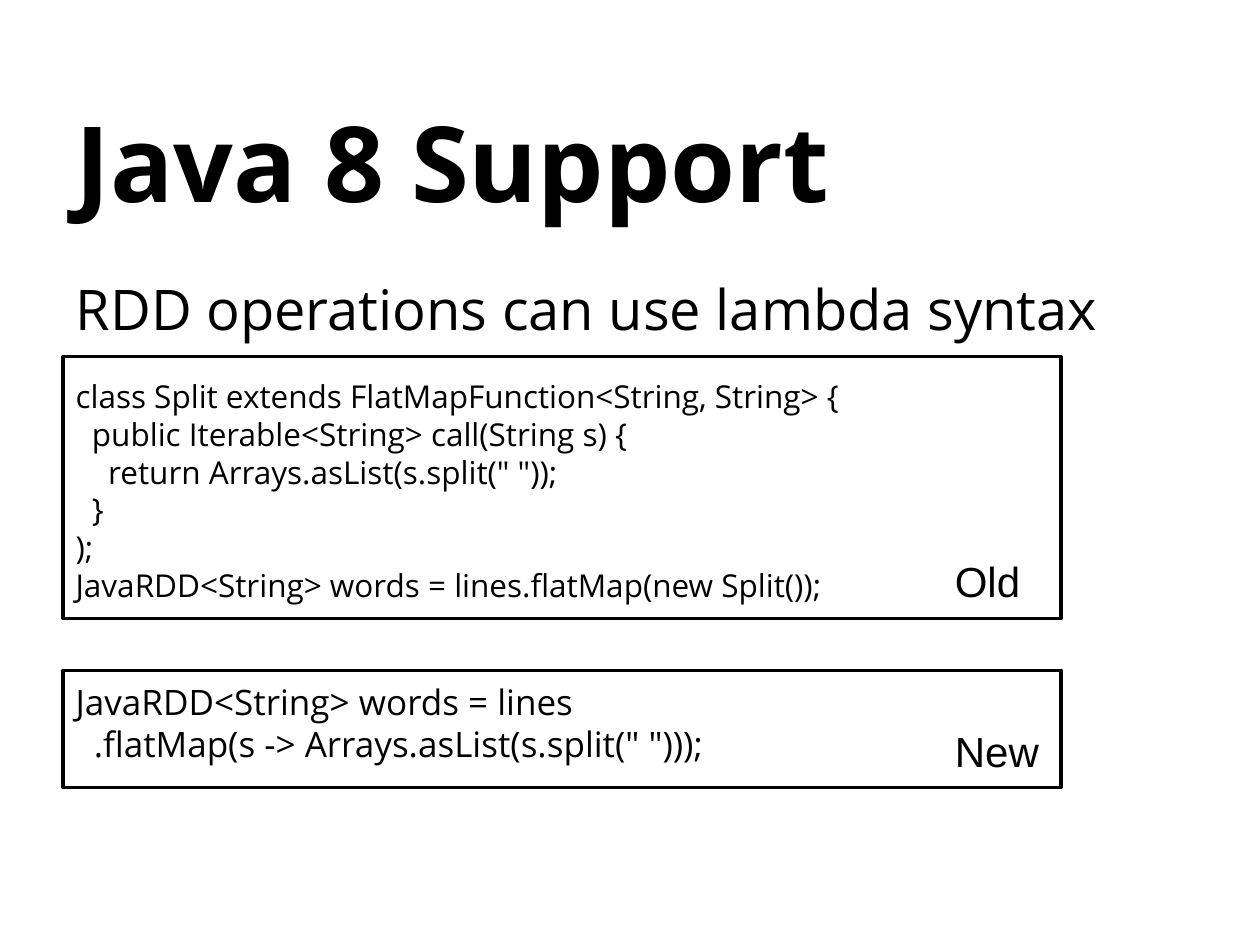
from dataclasses import dataclass

from lxml import etree
from pptx import Presentation
from pptx.dml.color import RGBColor
from pptx.enum.shapes import MSO_SHAPE
from pptx.enum.text import MSO_ANCHOR, MSO_AUTO_SIZE, PP_ALIGN
from pptx.oxml.ns import qn
from pptx.util import Inches, Pt

RECTANGLE = MSO_SHAPE.RECTANGLE
MIDDLE, TOP = MSO_ANCHOR.MIDDLE, MSO_ANCHOR.TOP
NO_AUTOFIT = MSO_AUTO_SIZE.NONE
LEFT = PP_ALIGN.LEFT

OLD_CODE = """class Split extends FlatMapFunction<String, String> {
  public Iterable<String> call(String s) {
    return Arrays.asList(s.split(" "));
  }
);
JavaRDD<String> words = lines.flatMap(new Split());"""
NEW_CODE = """JavaRDD<String> words = lines
  .flatMap(s -> Arrays.asList(s.split(" ")));"""


@dataclass(frozen=True)
class Theme:
    ink: RGBColor = RGBColor(0, 0, 0)
    font: str = "Open Sans"
    label_font: str = "Arial"
    title_size: int = 60
    lead_size: int = 32
    old_code_size: int = 18
    new_code_size: int = 20
    label_size: int = 24
    frame_width: int = 2


class SlideBuilder:
    """Places elements on one slide; lengths are inches on a 10 by 7.5 grid."""

    def __init__(self, presentation, theme):
        self.theme = theme
        self.slide = presentation.slides.add_slide(presentation.slide_layouts[1])

    def place(self, shape, left, top, width, height):
        shape.left, shape.top = Inches(left), Inches(top)
        shape.width, shape.height = Inches(width), Inches(height)

    def style(self, paragraph, size, name, bold=False):
        paragraph.alignment = LEFT
        font = paragraph.font
        font.size, font.name, font.bold = Pt(size), name, bold
        font.color.rgb = self.theme.ink

    def title(self, text, *box):
        shape = self.slide.shapes.title
        self.place(shape, *box)
        frame = shape.text_frame
        frame.text = text
        frame.auto_size, frame.vertical_anchor = NO_AUTOFIT, MIDDLE
        self.style(frame.paragraphs[0], self.theme.title_size, self.theme.font, True)

    def body(self, entries, *box):
        """Fill the body with (text, size, space before) entries without bullets."""
        shape = self.slide.placeholders[1]
        self.place(shape, *box)
        frame = shape.text_frame
        frame.auto_size, frame.vertical_anchor = NO_AUTOFIT, TOP
        for index, (text, size, space_before) in enumerate(entries):
            paragraph = frame.add_paragraph() if index else frame.paragraphs[0]
            paragraph.text = text
            paragraph.space_before = Pt(space_before)
            properties = paragraph._p.get_or_add_pPr()
            properties.set("marL", "0")
            properties.set("indent", "0")
            etree.SubElement(properties, qn("a:buNone"))
            self.style(paragraph, size, self.theme.font)

    def frame(self, *box):
        shape = self.slide.shapes.add_shape(RECTANGLE, *map(Inches, box))
        shape.shadow.inherit = False
        shape.fill.background()
        shape.line.color.rgb = self.theme.ink
        shape.line.width = Pt(self.theme.frame_width)

    def label(self, text, *box):
        frame = self.slide.shapes.add_textbox(*map(Inches, box)).text_frame
        frame.text = text
        frame.word_wrap = False
        self.style(frame.paragraphs[0], self.theme.label_size, self.theme.label_font)


def main():
    presentation = Presentation()
    presentation.slide_width, presentation.slide_height = Inches(10), Inches(7.5)
    theme = Theme()
    builder = SlideBuilder(presentation, theme)
    margin, content_width = 0.5, 9
    frame_width, label_left = 7.92, 7.48

    builder.title("Java 8 Support", margin, 0.65, content_width, 1.25)
    builder.body(
        [
            ("RDD operations can use lambda syntax", theme.lead_size, 0),
            (OLD_CODE, theme.old_code_size, 20),
            (NEW_CODE, theme.new_code_size, 44),
        ],
        margin, 2.13, content_width, 4.62,
    )
    for text, top, height, label_top, label_width in (
        ("Old", 2.83, 2.08, 4.36, 0.73),
        ("New", 5.32, 0.93, 5.71, 0.88),
    ):
        builder.frame(margin, top, frame_width, height)
        builder.label(text, label_left, label_top, label_width, 0.5)
    presentation.save("out.pptx")


if __name__ == "__main__":
    main()
